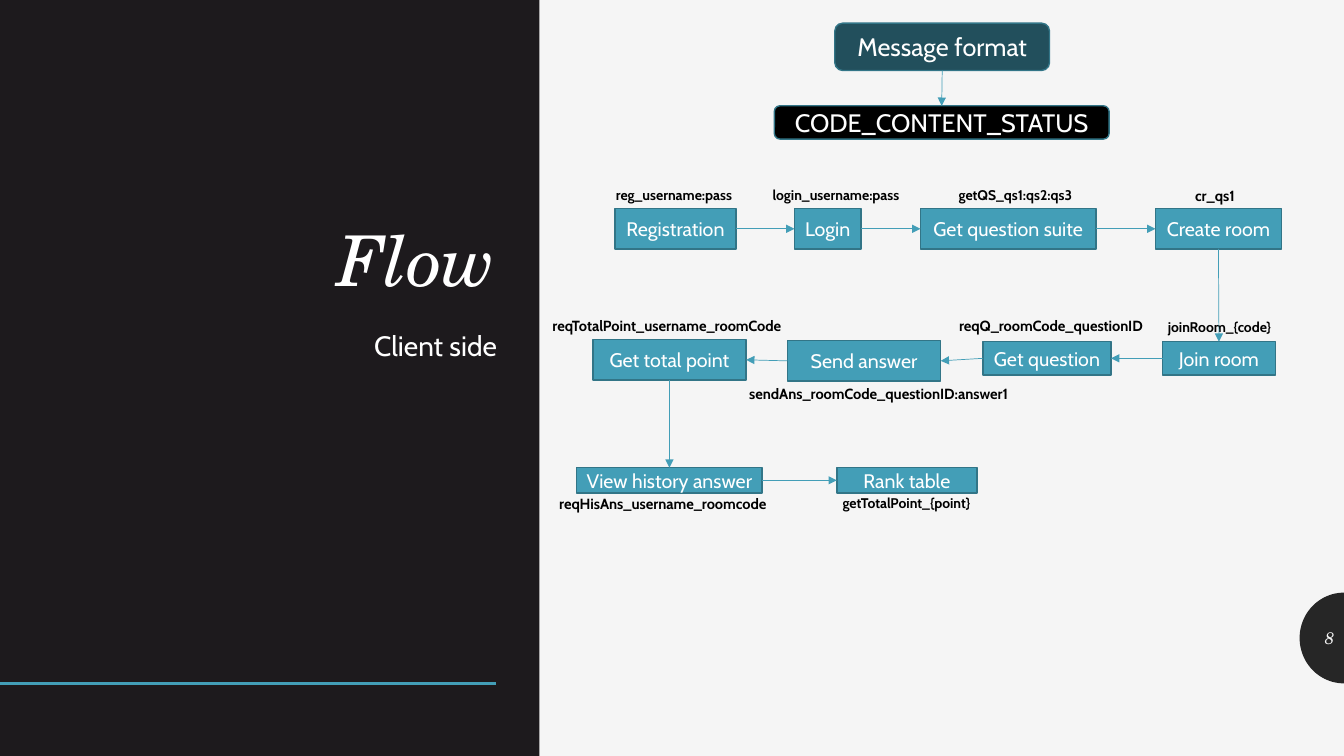
from itertools import pairwise
from math import cos, pi, sin

from lxml.etree import SubElement
from pptx import Presentation
from pptx.dml.color import RGBColor
from pptx.enum.shapes import MSO_CONNECTOR as Connector, MSO_SHAPE as Shape
from pptx.enum.text import MSO_ANCHOR as Anchor, MSO_AUTO_SIZE as AutoSize, PP_ALIGN as Align
from pptx.oxml.ns import qn
from pptx.util import Pt

PX = 9144
COLORS = {
    "page": "F5F5F5", "panel": "1D1A1D", "badge": "262626", "accent": "439EB7",
    "edge": "327587", "header": "224F5C", "black": "000000", "white": "FFFFFF",
}
SANS, SERIF = "Cabin", "TeX Gyre Schola"
TOP, LEFT, BOTTOM, RIGHT = range(4)

STEPS = [
    ("Registration", (76, 27, 120, 40)),
    ("Login", (254, 27, 66, 40)),
    ("Get question suite", (379, 27, 174, 40)),
    ("Create room", (612, 27, 125, 40)),
    ("Join room", (619, 159, 112, 33)),
    ("Get question", (441, 159, 127, 33)),
    ("Send answer", (247, 158, 152, 40)),
    ("Get total point", (54, 157, 152, 40)),
    ("View history answer", (38, 284, 184, 25)),
    ("Rank table", (296, 284, 139, 25)),
]
MESSAGES = [
    ("reg_username:pass", (67, 0, 152, 27), 10, Align.LEFT),
    ("login_username:pass", (221, 0, 148, 27), 10, Align.CENTER),
    ("getQS_qs1:qs2:qs3", (392, 0, 162, 27), 10, Align.CENTER),
    ("cr_qs1", (612, 0, 118, 45), 10.5, Align.CENTER),
    ("joinRoom_{code}", (612, 131, 127, 45), 10, Align.CENTER),
    ("reqQ_roomCode_questionID", (406, 129, 205, 28), 10.5, Align.CENTER),
    ("sendAns_roomCode_questionID:answer1", (195, 197, 285, 28), 10.5, Align.CENTER),
    ("reqHisAns_username_roomcode", (6, 306, 235, 28), 10.5, Align.CENTER),
    ("getTotalPoint_{point}", (264, 306, 202, 45), 10, Align.CENTER),
    ("reqTotalPoint_username_roomCode", (0, 129, 255, 28), 10.5, Align.CENTER),
]


def color(name):
    """Return the named colour."""
    return RGBColor.from_string(COLORS[name])


def emu(*lengths):
    """Turn px lengths into EMU."""
    return [round(length * PX) for length in lengths]


def inside(box, part):
    """Shift a part's rectangle by the corner of its box."""
    return box[0] + part[0], box[1] + part[1], part[2], part[3]


def write(shape, text, size, ink, align, font=SANS, anchor=Anchor.TOP, bold=False, italic=False):
    """Put one formatted run into a shape and return its paragraph."""
    frame = shape.text_frame
    frame.word_wrap = True
    frame.vertical_anchor = anchor
    paragraph = frame.paragraphs[0]
    paragraph.alignment = align
    run = paragraph.add_run()
    run.text = text
    run.font.name, run.font.size = font, Pt(size)
    run.font.bold, run.font.italic = bold, italic
    run.font.color.rgb = color(ink)
    return paragraph


def paint(shape, fill, edge=None):
    """Give a shape a flat fill and an optional thin edge."""
    shape.shadow.inherit = False
    shape.fill.solid()
    shape.fill.fore_color.rgb = color(fill)
    if edge:
        shape.line.color.rgb = color(edge)
        shape.line.width = Pt(1)
    else:
        shape.line.fill.background()


def add_node(slide, kind, box, text, size, fill):
    """Add a filled box with a centred caption."""
    node = slide.shapes.add_shape(kind, *emu(*box))
    paint(node, fill, "edge")
    node.text_frame.margin_left = node.text_frame.margin_right = 0
    write(node, text, size, "white", Align.CENTER, anchor=Anchor.MIDDLE)
    return node


def add_line(slide, start, end, width):
    """Add a straight accent line."""
    line = slide.shapes.add_connector(Connector.STRAIGHT, *emu(*start, *end))
    line.line.color.rgb = color("accent")
    line.line.width = Pt(width)
    SubElement(line.element.spPr, qn("a:effectLst"))
    return line


def add_arrow(slide, source, target):
    """Join two nodes with an arrow between their facing sides."""
    if target.top > source.top + source.height:
        sides = BOTTOM, TOP
    elif target.left > source.left:
        sides = RIGHT, LEFT
    else:
        sides = LEFT, RIGHT
    arrow = add_line(slide, (0, 0), (0, 0), 0.5)
    arrow.begin_connect(source, sides[0])
    arrow.end_connect(target, sides[1])
    SubElement(arrow.line._get_or_add_ln(), qn("a:tailEnd"), type="triangle")


def add_sidebar(slide, box):
    """Build the dark panel with title, subtitle and rule."""
    title, body = slide.placeholders
    panel = slide.shapes.add_shape(Shape.RECTANGLE, *emu(*box))
    paint(panel, "panel")
    title.element.addprevious(panel.element)
    rule_y = box[1] + 678
    add_line(slide, (box[0], rule_y), (box[0] + 492, rule_y), 2)

    for holder, part in ((title, (83, 61, 419, 243)), (body, (83, 317, 420, 312))):
        holder.left, holder.top, holder.width, holder.height = emu(*inside(box, part))
        holder.text_frame.auto_size = AutoSize.NONE
    heading = write(title, "Flow", 50, "white", Align.RIGHT, SERIF, Anchor.BOTTOM, italic=True)
    heading.line_spacing = 0.9
    subtitle = write(body, "Client side", 20, "white", Align.RIGHT)
    subtitle.line_spacing = 1.12
    subtitle.space_before = Pt(9)
    properties = subtitle._p.get_or_add_pPr()
    properties.set("marL", "0")
    properties.set("indent", "0")
    SubElement(properties, qn("a:buNone"))


def add_message_format(slide, box):
    """Build the message format header and its pattern."""
    header = add_node(slide, Shape.ROUNDED_RECTANGLE, inside(box, (60, 0, 213, 47)),
                      "Message format", 18, "header")
    pattern = add_node(slide, Shape.ROUNDED_RECTANGLE, inside(box, (0, 82, 332, 33)),
                       "CODE_CONTENT_STATUS", 18, "black")
    add_arrow(slide, header, pattern)


def add_flow(slide, box):
    """Build the chain of client steps with their messages."""
    nodes = [add_node(slide, Shape.RECTANGLE, inside(box, part), text, 14, "accent")
             for text, part in STEPS]
    for text, part, size, align in MESSAGES:
        label = slide.shapes.add_textbox(*emu(*inside(box, part)))
        write(label, text, size, "black", align, bold=True)
        label.text_frame.auto_size = AutoSize.SHAPE_TO_FIT_TEXT
    for source, target in pairwise(nodes):
        add_arrow(slide, source, target)


def add_page_badge(slide, box):
    """Build the half-round page number badge at the right edge."""
    left, top, width, height = box
    radius, segments = height / 2, 48
    angles = [pi * step / segments for step in range(segments + 1)]
    arc = [emu(left + width - width * sin(angle), top + radius - radius * cos(angle))
           for angle in angles]
    builder = slide.shapes.build_freeform(*arc[0])
    builder.add_line_segments(arc[1:], close=True)
    paint(builder.convert_to_shape(), "badge")
    number = slide.shapes.add_textbox(*emu(*inside(box, (0, 25, width, 40))))
    write(number, "8", 12, "page", Align.RIGHT, SERIF, Anchor.MIDDLE, italic=True)


def main():
    """Build and save the slide."""
    presentation = Presentation()
    presentation.slide_width, presentation.slide_height = emu(1333, 750)
    slide = presentation.slides.add_slide(presentation.slide_layouts[1])
    slide.background.fill.solid()
    slide.background.fill.fore_color.rgb = color("page")
    add_sidebar(slide, (0, 0, 535, 750))
    add_message_format(slide, (768, 23, 332, 115))
    add_flow(slide, (534, 180, 799, 351))
    add_page_badge(slide, (1289, 588, 44, 90))
    presentation.save("out.pptx")


if __name__ == "__main__":
    main()
